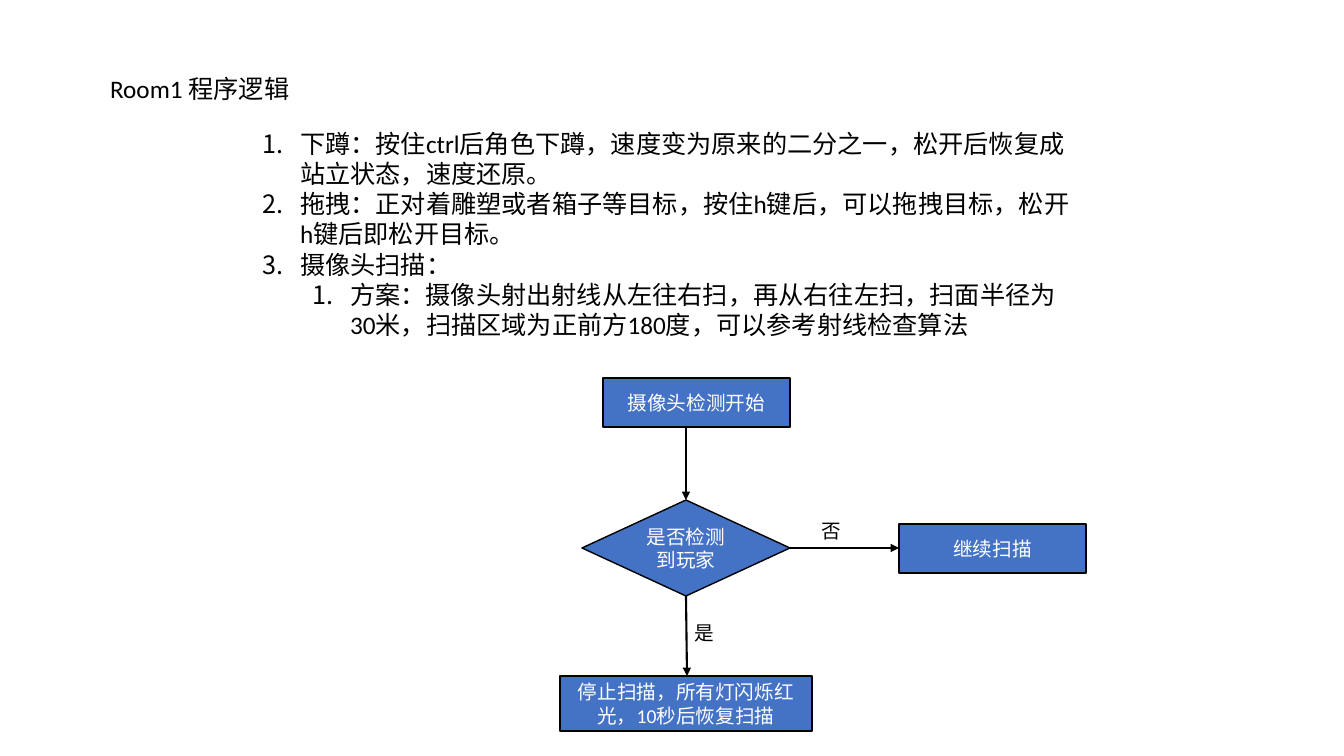
from lxml.etree import SubElement
from pptx import Presentation
from pptx.dml.color import RGBColor
from pptx.enum.shapes import MSO_CONNECTOR, MSO_SHAPE
from pptx.enum.text import MSO_ANCHOR, MSO_AUTO_SIZE, PP_ALIGN
from pptx.oxml.ns import qn
from pptx.util import Pt

EMU_PER_PX = 914400 / 100.8
FONT = "Calibri"
BLACK, WHITE, BLUE = "000000", "FFFFFF", "4472C4"
LIST_INDENT = 38
LEVEL_STEP = 50

RULES = [
    (0, "下蹲：按住ctrl后角色下蹲，速度变为原来的二分之一，松开后恢复成站立状态，速度还原。"),
    (0, "拖拽：正对着雕塑或者箱子等目标，按住h键后，可以拖拽目标，松开h键后即松开目标。"),
    (0, "摄像头扫描："),
    (1, "方案：摄像头射出射线从左往右扫，再从右往左扫，扫面半径为30米，扫描区域为正前方180度，可以参考射线检查算法"),
]


def px(length):
    return round(length * EMU_PER_PX)


def color(hex_value):
    return RGBColor.from_string(hex_value)


def place(element, box):
    element.left, element.top, element.width, element.height = map(px, box)


def add_run(paragraph, text, size, hex_value):
    run = paragraph.add_run()
    run.text = text
    run.font.name = FONT
    run.font.size = Pt(size)
    run.font.color.rgb = color(hex_value)


def prepare_frame(element, anchor):
    frame = element.text_frame
    frame.word_wrap = True
    frame.auto_size = MSO_AUTO_SIZE.NONE
    frame.vertical_anchor = anchor
    return frame


def fill_title(title, box, text):
    place(title, box)
    heading = prepare_frame(title, MSO_ANCHOR.TOP).paragraphs[0]
    heading.alignment = PP_ALIGN.LEFT
    add_run(heading, text, 18, BLACK)


def fill_numbered_list(body, box, items):
    place(body, box)
    frame = prepare_frame(body, MSO_ANCHOR.TOP)
    for index, (level, text) in enumerate(items):
        item = frame.add_paragraph() if index else frame.paragraphs[0]
        item.level = level
        item.space_before = Pt(0)
        properties = item._p.get_or_add_pPr()
        properties.set("marL", str(px(LIST_INDENT + level * LEVEL_STEP)))
        properties.set("indent", str(px(-LIST_INDENT)))
        SubElement(properties, qn("a:buFont"), typeface="+mj-lt")
        SubElement(properties, qn("a:buAutoNum"), type="arabicPeriod")
        add_run(item, text, 18, BLACK)


def add_step(slide, preset, box, text):
    step = slide.shapes.add_shape(preset, *map(px, box))
    step.shadow.inherit = False
    step.fill.solid()
    step.fill.fore_color.rgb = color(BLUE)
    step.line.color.rgb = color(BLACK)
    step.line.width = Pt(1)
    caption = prepare_frame(step, MSO_ANCHOR.MIDDLE).paragraphs[0]
    caption.alignment = PP_ALIGN.CENTER
    add_run(caption, text, 14, WHITE)


def add_arrow(slide, start, end):
    arrow = slide.shapes.add_connector(MSO_CONNECTOR.STRAIGHT, *map(px, start + end))
    arrow.line.color.rgb = color(BLACK)
    arrow.line.width = Pt(1.5)
    SubElement(arrow.line._get_or_add_ln(), qn("a:tailEnd"), type="triangle")
    SubElement(arrow._element.spPr, qn("a:effectLst"))


def add_branch_label(slide, left, top, text):
    label = slide.shapes.add_textbox(*map(px, (left, top, 75, 34)))
    add_run(prepare_frame(label, MSO_ANCHOR.TOP).paragraphs[0], text, 14, BLACK)


def main():
    deck = Presentation()
    deck.slide_width, deck.slide_height = px(1344), px(756)
    slide = deck.slides.add_slide(deck.slide_layouts[1])

    # Heading and rules
    fill_title(slide.shapes.title, (100, 68, 275, 40), "Room1 程序逻辑")
    fill_numbered_list(slide.placeholders[1], (252, 123, 839, 224), RULES)

    # Flowchart steps
    add_step(slide, MSO_SHAPE.RECTANGLE, (603, 378, 187, 49), "摄像头检测开始")
    add_step(slide, MSO_SHAPE.DIAMOND, (582, 500, 208, 96), "是否检测到玩家")
    add_step(slide, MSO_SHAPE.RECTANGLE, (899, 524, 187, 49), "继续扫描")
    add_step(slide, MSO_SHAPE.RECTANGLE, (560, 676, 252, 55),
             "停止扫描，所有灯闪烁红光，10秒后恢复扫描")

    # Arrows between steps
    add_arrow(slide, (686, 427), (686, 500))
    add_arrow(slide, (790, 548), (899, 548))
    add_arrow(slide, (686, 596), (687, 676))

    # Branch labels
    add_branch_label(slide, 812, 514, "否")
    add_branch_label(slide, 685, 616, "是")

    deck.save("out.pptx")


main()
